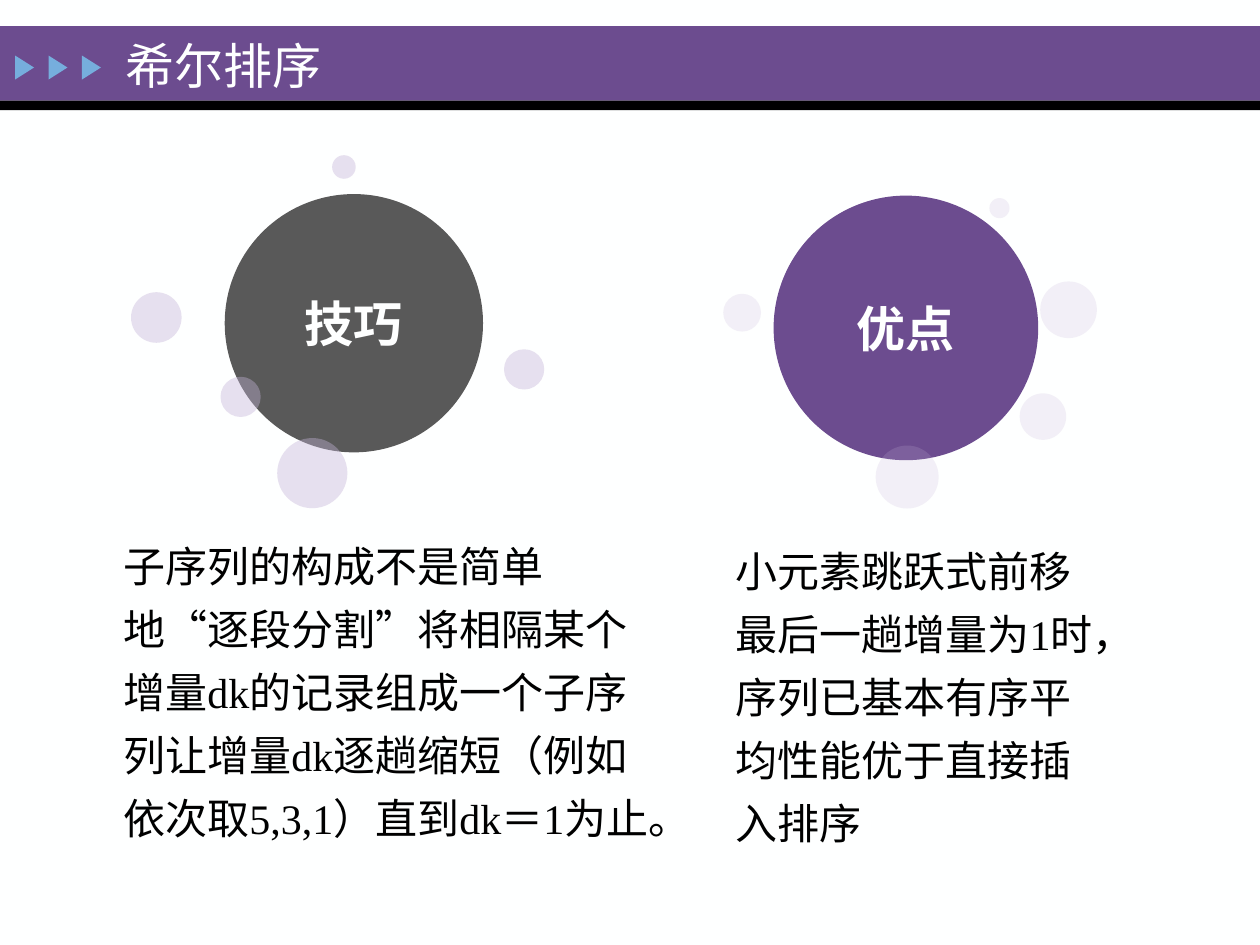
from lxml import etree
from pptx import Presentation
from pptx.dml.color import RGBColor
from pptx.enum.shapes import MSO_SHAPE
from pptx.enum.text import MSO_ANCHOR, PP_ALIGN
from pptx.oxml.ns import qn
from pptx.util import Pt

RECT, OVAL, WEDGE = MSO_SHAPE.RECTANGLE, MSO_SHAPE.OVAL, MSO_SHAPE.ISOSCELES_TRIANGLE
TOP, MIDDLE = MSO_ANCHOR.TOP, MSO_ANCHOR.MIDDLE
LEFT, CENTER = PP_ALIGN.LEFT, PP_ALIGN.CENTER
FONT = "Times New Roman"
COLORS = {
    "paper": "FEFFFF", "ink": "000000", "purple": "6C4C8F",
    "blue": "76AEDD", "gray": "595959", "lilac": "C4B3D7",
}


def color(name):
    return RGBColor.from_string(COLORS[name])


def write(frame, text, size=24, ink="ink", bold=False, align=LEFT, anchor=TOP, space=1.0, wrap=True):
    frame.word_wrap = wrap
    frame.vertical_anchor = anchor
    line = frame.paragraphs[0]
    line.alignment = align
    line.line_spacing = space
    run = line.add_run()
    run.text = text
    run.font.name = FONT
    run.font.size = Pt(size)
    run.font.bold = bold
    run.font.color.rgb = color(ink)


class Page:
    """Draws styled elements on one slide, with lengths in points."""

    def __init__(self, slide):
        self.slide = slide
        fill = slide.background.fill
        fill.solid()
        fill.fore_color.rgb = color("paper")

    def shape(self, kind, left, top, width, height, fill, alpha=None):
        item = self.slide.shapes.add_shape(kind, Pt(left), Pt(top), Pt(width), Pt(height))
        item.shadow.inherit = False
        item.line.fill.background()
        item.fill.solid()
        item.fill.fore_color.rgb = color(fill)
        if alpha is not None:
            tone = item.fill._xPr.find(".//" + qn("a:srgbClr"))
            etree.SubElement(tone, qn("a:alpha")).set("val", str(alpha * 1000))
        return item

    def arrow(self, left, top):
        self.shape(WEDGE, left, top, 13.7, 10.8, "blue").rotation = 90

    def text(self, left, top, width, height, words, **style):
        box = self.slide.shapes.add_textbox(Pt(left), Pt(top), Pt(width), Pt(height))
        write(box.text_frame, words, **style)

    def bubble(self, left, top, size, fill, label, alpha, dots):
        disc = self.shape(OVAL, left, top, size, size, fill)
        frame = disc.text_frame
        frame.margin_left = frame.margin_right = frame.margin_top = frame.margin_bottom = 0
        write(frame, label, size=28, ink="paper", bold=True, align=CENTER, anchor=MIDDLE, wrap=False)
        for x, y, span in dots:
            self.shape(OVAL, x, y, span, span, "lilac", alpha)


def main():
    deck = Presentation()
    deck.slide_width, deck.slide_height = Pt(720), Pt(540)
    page = Page(deck.slides.add_slide(deck.slide_layouts[6]))

    page.shape(RECT, 0, 15, 720, 42.5, "purple")
    page.shape(RECT, 0, 57.5, 720, 5.5, "ink")
    for step in range(3):
        page.arrow(7.2 + 19.1 * step, 33.2)
    page.text(64.8, 16.6, 243.4, 41, "希尔排序", size=28, ink="paper", anchor=MIDDLE)

    page.text(63.4, 298.1, 317.5, 185.8,
              "子序列的构成不是简单地“逐段分割”将相隔某个增量dk的记录组成一个子序列"
              "让增量dk逐趟缩短（例如依次取5,3,1）直到dk＝1为止。", space=1.25)
    page.text(413.3, 301, 229.7, 188.6,
              "小元素跳跃式前移最后一趟增量为1时，序列已基本有序平均性能优于直接插入排序",
              space=1.25)

    page.bubble(442.1, 111.8, 151.2, "purple", "优点", 20, [
        (413.3, 167.9, 21.6), (500.4, 254.6, 36), (565.4, 113.2, 11.5),
        (582.7, 224.8, 26.6), (594.4, 160.8, 32.4)])
    page.bubble(128.4, 110.9, 147.6, "gray", "技巧", 40, [
        (288, 199.6, 23), (126, 215.3, 23), (158.4, 250.3, 40.1),
        (189.8, 88.7, 13.5), (74.9, 167, 28.9)])

    deck.save("out.pptx")


if __name__ == "__main__":
    main()
